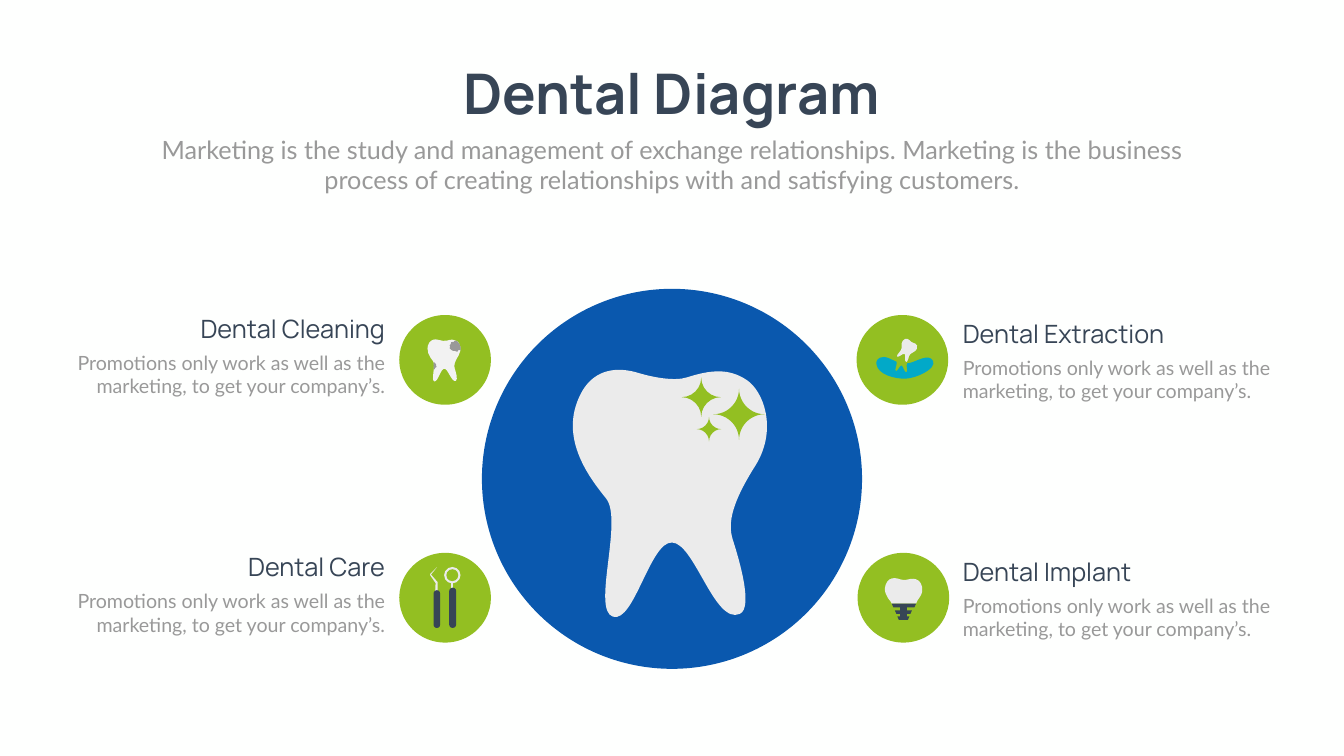
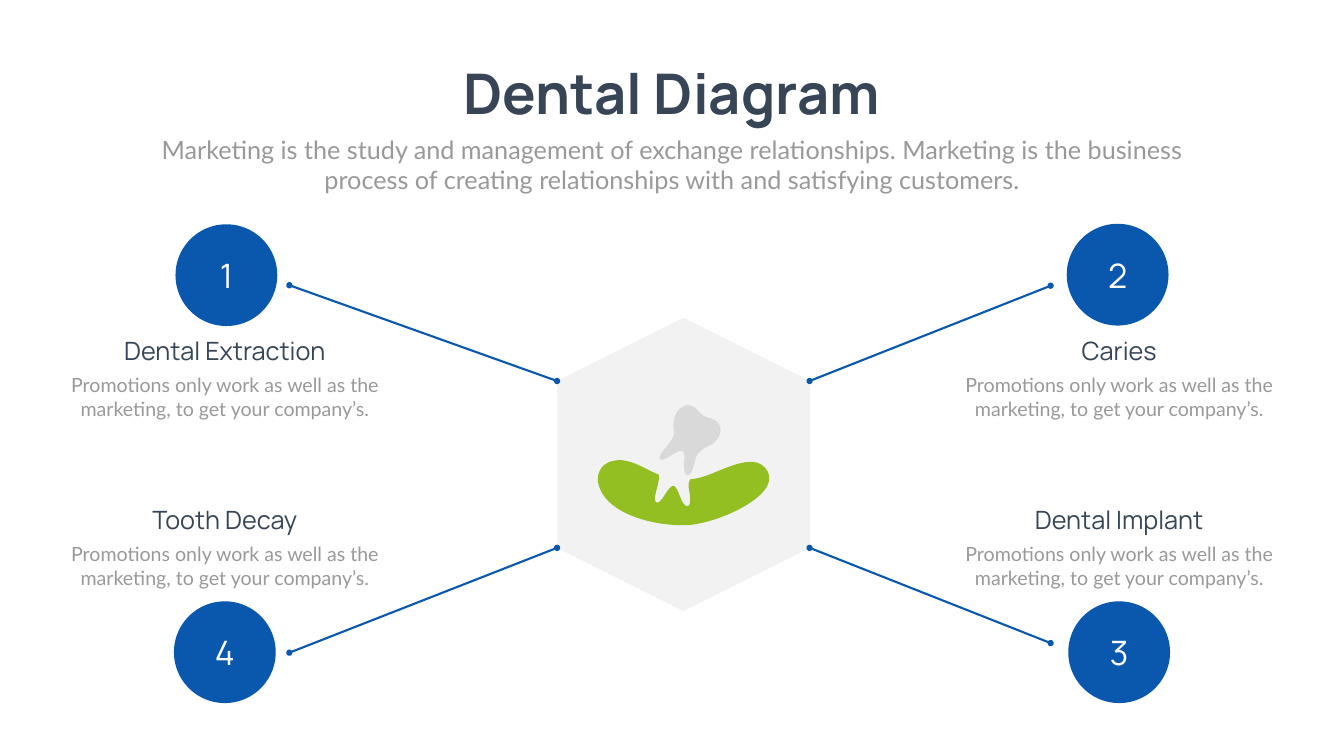
from lxml.etree import SubElement
from pptx import Presentation
from pptx.dml.color import RGBColor
from pptx.enum.shapes import MSO_CONNECTOR, MSO_SHAPE
from pptx.enum.text import MSO_ANCHOR, MSO_AUTO_SIZE, PP_ALIGN
from pptx.oxml.ns import qn
from pptx.util import Pt

NAVY, GRAY, BLUE, GREEN = "374556", "999999", "0A58AE", "93BF22"
ENAMEL, PALE, SILVER, TEAL = "EBEBEB", "F2F2F2", "D9D9D9", "02A9C8"
WHITE, PAPER = "FFFFFF", "FEFFFE"
HEADING_FONT, BODY_FONT = "Manrope", "Lato"
TITLE = "Dental Diagram"
SUBTITLE = ("Marketing is the study and management of exchange relationships. Marketing is "
            "the business process of creating relationships with and satisfying customers.")
DESCRIPTION = "Promotions only work as well as the marketing, to get your company’s."
HEADING_WIDTH = 359.3
CURVE_STEPS = 16
UNIT = 0.72

TOOTH = [
    (14, 30), (32, 1, 62, -4, 94, 6), (114, 12, 145, 18, 163, 12), (197, 1, 223, -1, 248, 16),
    (272, 32, 292, 86, 261, 137), (228, 189, 220, 219, 228, 244), (236, 269, 258, 341, 238, 350),
    (202, 366, 173, 248, 141, 248), (110, 247, 87, 363, 57, 354), (26, 345, 72, 216, 47, 185),
    (22, 154, -24, 94, 14, 30),
]
CAVITY = [
    (12, 0), (13, 0, 13, 0, 14, 1), (14, 1), (14, 0), (15, 1), (19, 4, 22, 10, 22, 17), (22, 18),
    (22, 19), (20, 19, 19, 19, 18, 18), (18, 20, 17, 21, 15, 22), (13, 22, 11, 21, 10, 20),
    (8, 21, 5, 20, 3, 18), (2, 18, 1, 17, 0, 15), (0, 14, 0, 13, 1, 12), (0, 12, -1, 11, 0, 9),
    (0, 8, 1, 7, 2, 7), (2, 7, 2, 7, 2, 7), (2, 5, 2, 4, 3, 3), (5, 1, 7, 1, 9, 2), (9, 2),
    (9, 1), (10, 0, 11, 0, 12, 0),
]
ROOT_DECAY = [
    (1, 0), (2, 0, 2, 0, 2, 0), (3, 0, 3, 1, 3, 2), (3, 2), (4, 2), (4, 3, 5, 3, 5, 4),
    (5, 4, 5, 5, 5, 6), (6, 7, 6, 8, 6, 9), (5, 10, 4, 11, 3, 11), (3, 12, 3, 13, 2, 14),
    (2, 14, 1, 14, 0, 14), (0, 14), (0, 13), (0, 8, 1, 4, 0, 1), (0, 0), (0, 0, 1, 0, 1, 0),
]
PULLED_TOOTH = [
    (171, 2), (181, -3, 191, 1, 199, 10), (204, 16, 212, 23, 218, 24), (230, 27, 239, 31, 243, 41),
    (247, 50, 243, 70, 224, 79), (205, 89, 197, 96, 195, 105), (193, 114, 187, 140, 179, 139),
    (165, 137, 178, 96, 169, 91), (160, 85, 132, 115, 124, 107), (117, 99, 154, 69, 152, 55),
    (150, 41, 147, 15, 171, 2),
]
GUM = [
    (338, 132), (313, 84, 237, 138, 198, 145), (193, 146, 188, 147, 184, 147),
    (181, 153, 180, 159, 181, 163), (183, 172, 187, 198, 180, 200), (166, 204, 162, 162, 151, 160),
    (140, 159, 127, 198, 117, 193), (107, 189, 125, 153, 122, 138), (95, 127, 74, 111, 47, 109),
    (7, 108, -1, 136, 1, 151), (10, 214, 110, 240, 175, 238), (234, 237, 363, 180, 338, 132),
]
CROWN = [
    (14, 51), (62, 51), (63, 47, 66, 43, 70, 37), (79, 24, 73, 9, 67, 5), (60, 0, 53, 1, 45, 3),
    (40, 5, 31, 3, 26, 1), (18, -1, 10, 0, 5, 7), (-6, 24, 5, 39, 12, 47), (12, 48, 14, 50, 14, 51),
]
SCREW_THREADS = [(14, 62, 51), (20, 54, 64), (25, 49, 76)]
SCREW_POST = [(31, 56), (44, 56), (44, 81), (31, 81)]
PROBE = [(15, 31), (15, 30), (2, 15), (14, 0), (0, 14), (0, 16), (11, 32), (10, 52), (15, 52)]
MIRROR_STEM = [(42, 17), (46, 17), (46, 58), (42, 58)]


def color(value):
    """Turn a hex string into a colour."""
    return RGBColor.from_string(value)


def style_text(text_frame, text, font_name, size, text_color, alignment, bold=False):
    """Write one formatted paragraph into a text frame."""
    text_frame.text = text
    paragraph = text_frame.paragraphs[0]
    paragraph.alignment = alignment
    font = paragraph.runs[0].font
    font.name, font.size, font.bold = font_name, Pt(size), bold
    font.color.rgb = color(text_color)


def add_text(slide, box, wrap, *style):
    """Add a text box that grows with its text."""
    text_frame = slide.shapes.add_textbox(*map(Pt, box)).text_frame
    text_frame.word_wrap = wrap
    text_frame.auto_size = MSO_AUTO_SIZE.SHAPE_TO_FIT_TEXT
    style_text(text_frame, *style)


def paint(shape, fill):
    """Give a shape a flat fill without line or shadow."""
    shape.shadow.inherit = False
    shape.fill.solid()
    shape.fill.fore_color.rgb = color(fill)
    shape.line.fill.background()


def add_figure(shapes, kind, box, fill):
    """Add a flat preset shape."""
    shape = shapes.add_shape(kind, *map(Pt, box))
    paint(shape, fill)
    return shape


def trace(outline):
    """List points along an outline, from which its extent follows."""
    points = [outline[0]]
    for segment in outline[1:]:
        controls = points[-1] + segment
        for step in range(1, CURVE_STEPS + 1) if len(segment) == 6 else ():
            t = step / CURVE_STEPS
            weights = ((1 - t) ** 3, 3 * t * (1 - t) ** 2, 3 * t * t * (1 - t), t ** 3)
            points.append(tuple(sum(weight * value for weight, value
                                    in zip(weights, controls[axis::2])) for axis in (0, 1)))
        points.append(segment[-2:])
    return points


def add_outline(shapes, outline, origin, scale, fill):
    """Add a flat freeform with true curves."""
    points = trace(outline)
    left, top = map(min, zip(*points))
    corners = [tuple(Pt(start + scale * value) for start, value in zip(origin, point))
               for point in points]
    builder = shapes.build_freeform(*corners[0], scale=1.0)
    builder.add_line_segments(corners[1:], close=True)
    shape = builder.convert_to_shape()
    paint(shape, fill)
    curve = next(shape._element.iter(qn("a:path")))
    for child in list(curve):
        curve.remove(child)
    for index, segment in enumerate(outline):
        tag = "a:moveTo" if index == 0 else "a:lnTo" if len(segment) == 2 else "a:cubicBezTo"
        command = SubElement(curve, qn(tag))
        for x, y in zip(segment[::2], segment[1::2]):
            SubElement(command, qn("a:pt"), x=str(int(Pt(scale * (x - left)))),
                       y=str(int(Pt(scale * (y - top)))))
    SubElement(curve, qn("a:close"))


def add_link(slide, start, end):
    """Add a blue line with a dot at each end."""
    connector = slide.shapes.add_connector(MSO_CONNECTOR.STRAIGHT, *map(Pt, start + end))
    connector.line.color.rgb = color(BLUE)
    connector.line.width = Pt(3)
    line = connector.line._get_or_add_ln()
    for tag in ("a:headEnd", "a:tailEnd"):
        SubElement(line, qn(tag)).set("type", "oval")
    SubElement(connector._element.spPr, qn("a:effectLst"))


def add_topic(slide, heading, left, top, width, alignment):
    """Add a heading with its description below."""
    share = {PP_ALIGN.LEFT: 0, PP_ALIGN.CENTER: 0.5, PP_ALIGN.RIGHT: 1}[alignment]
    heading_box = (left + share * (width - HEADING_WIDTH), top, HEADING_WIDTH, 51.1)
    add_text(slide, heading_box, True, heading, HEADING_FONT, 36, NAVY, alignment)
    add_text(slide, (left, top + 53.5, width, 74.9), True,
             DESCRIPTION, BODY_FONT, 28, GRAY, alignment)


def add_number(slide, number, left, top):
    """Add a numbered blue circle."""
    circle = add_figure(slide.shapes, MSO_SHAPE.OVAL, (left, top, 145.4, 145.4), BLUE)
    circle.text_frame.vertical_anchor = MSO_ANCHOR.MIDDLE
    style_text(circle.text_frame, number, HEADING_FONT, 48, WHITE, PP_ALIGN.CENTER)


def draw_hub(shapes):
    """Draw the sparkling tooth on its blue circle."""
    add_figure(shapes, MSO_SHAPE.OVAL, (688.3, 412.6, 542.9, 542.9), BLUE)
    add_outline(shapes, TOOTH, (818.6, 527), 1, ENAMEL)
    for left, top, size in ((973.4, 539.3, 56.2), (1018.8, 555.1, 73.4), (995, 595.4, 35.3)):
        sparkle = add_figure(shapes, MSO_SHAPE.PLAQUE, (left, top, size, size), GREEN)
        sparkle.adjustments[0] = 0.5


def draw_decayed_tooth(shapes):
    """Draw a small tooth with a cavity and a decayed root."""
    add_outline(shapes, TOOTH, (610.6, 484.6), 0.17, PALE)
    add_outline(shapes, CAVITY, (642.2, 486.7), UNIT, GRAY)
    add_outline(shapes, ROOT_DECAY, (619.2, 517.7), UNIT, GRAY)


def draw_extraction(shapes, origin, scale, tooth_color, gum_color):
    """Draw a tooth pulled out of its gum."""
    add_outline(shapes, PULLED_TOOTH, origin, scale, tooth_color)
    add_outline(shapes, GUM, origin, scale, gum_color)


def draw_implant(shapes):
    """Draw a crown on a screw."""
    origin = (1263.6, 825.8)
    add_outline(shapes, CROWN, origin, UNIT, ENAMEL)
    for left, right, top in SCREW_THREADS:
        thread = [(left, top), (right, top), (right - 3, top + 7), (left + 3, top + 7)]
        add_outline(shapes, thread, origin, UNIT, NAVY)
    add_outline(shapes, SCREW_POST, origin, UNIT, NAVY)


def draw_tools(shapes):
    """Draw a dental probe and a mirror."""
    for outline in (PROBE, MIRROR_STEM):
        add_outline(shapes, outline, (614.2, 810), UNIT, ENAMEL)
    add_figure(shapes, MSO_SHAPE.OVAL, (634.3, 810, 23.4, 23.4), ENAMEL)
    add_figure(shapes, MSO_SHAPE.OVAL, (637.5, 813.2, 17, 17), GREEN)
    for box in ((619.2, 843.1, 9.4, 54), (641.5, 839.5, 10.1, 57.6)):
        handle = add_figure(shapes, MSO_SHAPE.ROUNDED_RECTANGLE, box, NAVY)
        handle.adjustments[0] = 0.5


def add_slide(presentation):
    """Add a blank slide with the shared background, title and subtitle."""
    slide = presentation.slides.add_slide(presentation.slide_layouts[6])
    slide.background.fill.solid()
    slide.background.fill.fore_color.rgb = color(PAPER)
    add_text(slide, (622.8, 80.6, 673.2, 104.4), False,
             TITLE, HEADING_FONT, 80, NAVY, PP_ALIGN.CENTER, True)
    add_text(slide, (210.2, 187.9, 1499, 94.3), True,
             SUBTITLE, BODY_FONT, 36, GRAY, PP_ALIGN.CENTER)
    return slide


def build_services(presentation):
    """Build the slide with four services around a tooth."""
    slide = add_slide(presentation)
    draw_hub(slide.shapes.add_group_shape().shapes)
    for left, top in ((570.2, 789.8), (570.2, 450), (1224.7, 789.8), (1223.3, 450)):
        add_figure(slide.shapes, MSO_SHAPE.OVAL, (left, top, 131, 128.2), GREEN)
    for heading, left, top, alignment in (
            ("Dental Extraction", 1368, 450.9, PP_ALIGN.LEFT),
            ("Dental Implant", 1368, 791.3, PP_ALIGN.LEFT),
            ("Dental Cleaning", 79.9, 444.2, PP_ALIGN.RIGHT),
            ("Dental Care", 79.9, 784.6, PP_ALIGN.RIGHT)):
        add_topic(slide, heading, left, top, 477, alignment)
    draw_decayed_tooth(slide.shapes.add_group_shape().shapes)
    draw_implant(slide.shapes)
    draw_extraction(slide.shapes.add_group_shape().shapes, (1251.4, 483.8), 0.24, ENAMEL, TEAL)
    draw_tools(slide.shapes.add_group_shape().shapes)


def build_steps(presentation):
    """Build the slide with four numbered topics around a hexagon."""
    slide = add_slide(presentation)
    hexagon = add_figure(slide.shapes, MSO_SHAPE.HEXAGON, (766.8, 483.1, 419, 360.7), PALE)
    hexagon.rotation = 270
    for start, end in (((413.3, 407.5), (795.6, 544.3)), ((413.3, 932.4), (795.6, 782.6)),
                       ((1500.5, 918.7), (1156.3, 782.6)), ((1156.3, 544.3), (1500.5, 408.2))):
        add_link(slide, start, end)
    for number, left, top in (("1", 250.6, 320.4), ("2", 1523.5, 319.7),
                              ("3", 1525.7, 859), ("4", 248.4, 859)):
        add_number(slide, number, left, top)
    draw_extraction(slide.shapes.add_group_shape().shapes, (853.2, 578.9), UNIT, SILVER, GREEN)
    for heading, left, top in (("Dental Extraction", 86.4, 475.9), ("Tooth Decay", 86.4, 717.1),
                               ("Caries", 1363.7, 475.9), ("Dental Implant", 1363.7, 717.1)):
        add_topic(slide, heading, left, top, 469.4, PP_ALIGN.CENTER)


def main():
    """Build and save the presentation."""
    presentation = Presentation()
    presentation.slide_width, presentation.slide_height = Pt(1919.52), Pt(1080)
    build_services(presentation)
    build_steps(presentation)
    presentation.save("out.pptx")


if __name__ == "__main__":
    main()
